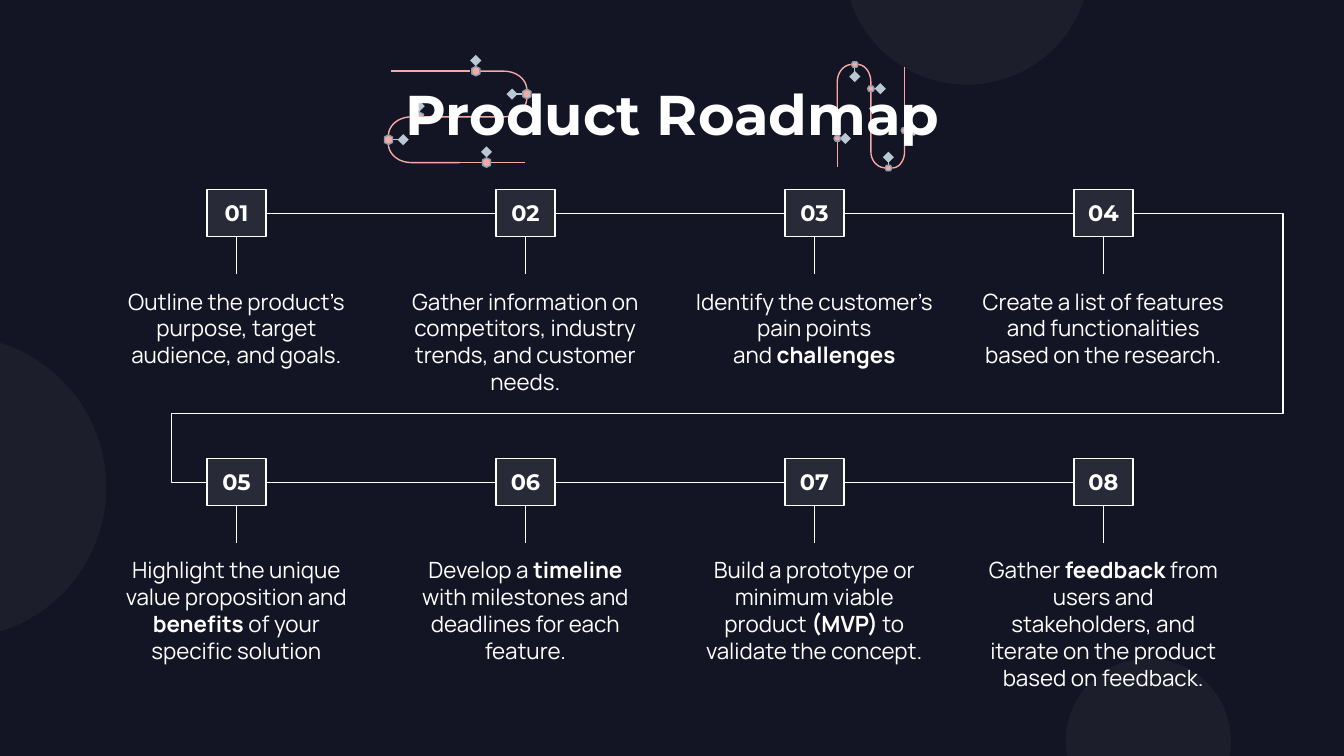
"""Build the Product Roadmap slide: eight numbered steps on one winding line."""
from math import cos, pi, sin

from lxml.etree import SubElement
from pptx import Presentation
from pptx.dml.color import RGBColor
from pptx.enum.shapes import MSO_CONNECTOR, MSO_SHAPE
from pptx.enum.text import MSO_ANCHOR, MSO_AUTO_SIZE, PP_ALIGN
from pptx.oxml.ns import qn
from pptx.util import Inches, Pt

THEME = {
    "night": RGBColor(0x13, 0x15, 0x24),
    "white": RGBColor(0xFF, 0xFF, 0xFF),
    "track": RGBColor(0xF8, 0xA9, 0xA3),
    "node": RGBColor(0x86, 0x9F, 0xB2),
    "pin": RGBColor(0xBA, 0xC8, 0xD3),
    "stroke": Pt(0.75),
    "heading": {"name": "Montserrat", "size": Pt(30), "bold": True},
    "number": {"name": "Montserrat", "size": Pt(12), "bold": True},
    "body": {"name": "Manrope", "size": Pt(12), "bold": False},
    "strong": {"name": "Manrope", "size": Pt(12), "bold": True},
}
FRAME = {"margin_left": Inches(0.1), "margin_right": Inches(0.1),
         "margin_top": Inches(0.1), "margin_bottom": Inches(0.1),
         "auto_size": MSO_AUTO_SIZE.NONE}

STEPS = [
    [["Outline the product's purpose, target audience, and goals."]],
    [["Gather information on competitors, industry trends, and customer needs."]],
    [["Identify the customer's pain points"], ["and ", "challenges"]],
    [["Create a list of features and functionalities based on the research."]],
    [["Highlight the unique value proposition and ", "benefits",
      " of your specific solution"]],
    [["Develop a ", "timeline", " with milestones and deadlines for each feature."]],
    [["Build a prototype or minimum viable product ", "(MVP)",
      " to validate the concept."]],
    [["Gather ", "feedback",
      " from users and stakeholders, and iterate on the product based on feedback."]],
]
COLUMNS, FIRST_CENTER, COLUMN_STEP = 4, 1.76, 2.15
FIRST_ROW, ROW_STEP = 1.41, 2
BADGE_W, BADGE_H, TEXT_W, STEM = 0.44, 0.35, 2, 0.28

STRETCHES = [
    [(6.23, 0.81), (6.23, 1.01)],
    [(6.23, 0.88), (6.23, 0.61), (6.23, 0.48), (6.34, 0.48)],
    [(6.48, 0.64), (6.48, 0.61), (6.48, 0.48), (6.38, 0.48)],
    [(6.48, 0.68), (6.48, 1.13), (6.48, 1.25), (6.59, 1.25)],
    [(6.73, 0.99), (6.73, 1.13), (6.73, 1.25), (6.64, 1.25)],
    [(6.73, 0.5), (6.73, 0.94)],
    [(6.23, 1.05), (6.23, 1.24)],
    [(3.33, 1.21), (3.59, 1.21)],
    [(3.42, 1.21), (3.06, 1.21), (2.89, 1.21), (2.89, 1.07)],
    [(3.1, 0.87), (3.06, 0.87), (2.89, 0.87), (2.89, 1.01)],
    [(3.15, 0.87), (3.75, 0.87), (3.92, 0.87), (3.92, 0.73)],
    [(3.57, 0.53), (3.75, 0.53), (3.92, 0.53), (3.92, 0.67)],
    [(2.91, 0.53), (3.5, 0.53)],
    [(3.65, 1.21), (3.91, 1.21)],
]
NODE_GROUPS = [
    (0.05, 0.04, 180, [
        ((6.73, 0.97), (6.8, 0.97)), ((6.61, 1.25), (6.61, 1.17)),
        ((6.36, 0.48), (6.36, 0.57)), ((6.48, 0.66), (6.55, 0.66)),
        ((6.23, 1.03), (6.29, 1.03))]),
    (0.07, 0.06, 90, [
        ((3.54, 0.53), (3.54, 0.45)), ((3.92, 0.7), (3.81, 0.7)),
        ((2.89, 1.04), (3, 1.04)), ((3.12, 0.87), (3.12, 0.79)),
        ((3.62, 1.21), (3.62, 1.13))]),
]

deck = Presentation()
deck.slide_width, deck.slide_height = Inches(10), Inches(10 * 9 / 16)
slide = deck.slides.add_slide(deck.slide_layouts[5])
slide.background.fill.solid()
slide.background.fill.fore_color.rgb = THEME["night"]
shapes = slide.shapes


def link(start, end, color, kind=MSO_CONNECTOR.STRAIGHT):
    connector = shapes.add_connector(kind, *(Inches(v) for v in (*start, *end)))
    connector.line.color.rgb = THEME[color]
    connector.line.width = THEME["stroke"]
    SubElement(connector.element.spPr, qn("a:effectLst"))
    return connector


def write(holder, paragraphs, styles, anchor=MSO_ANCHOR.TOP, wrap=True):
    frame = holder.text_frame
    for key, value in {**FRAME, "vertical_anchor": anchor, "word_wrap": wrap}.items():
        setattr(frame, key, value)
    for index, pieces in enumerate(paragraphs):
        paragraph = frame.add_paragraph() if index else frame.paragraphs[0]
        paragraph.alignment = PP_ALIGN.CENTER
        for position, words in enumerate(pieces):
            run = paragraph.add_run()
            run.text = words
            for key, value in THEME[styles[position % len(styles)]].items():
                setattr(run.font, key, value)
            run.font.color.rgb = THEME["white"]


for far, near, *bend in STRETCHES:
    points = [near]
    if bend:
        corner, tip = bend
        center = [a + b - c for a, b, c in zip(near, tip, corner)]
        points += [[m + (a - m) * cos(k * pi / 24) + (b - m) * sin(k * pi / 24)
                    for m, a, b in zip(center, near, tip)] for k in range(1, 13)]
    builder = shapes.build_freeform(*(Inches(v) for v in far))
    builder.add_line_segments([[Inches(v) for v in point] for point in points], close=False)
    stretch = builder.convert_to_shape()
    stretch.shadow.inherit = False
    stretch.fill.background()
    stretch.line.color.rgb = THEME["track"]
    stretch.line.width = THEME["stroke"]

for width, height, turn, nodes in NODE_GROUPS:
    for (x, y), outer in nodes:
        pin = link(outer, (x, y), "pin")
        SubElement(pin.line._get_or_add_ln(), qn("a:headEnd"), type="diamond")
        node = shapes.add_shape(MSO_SHAPE.HEXAGON, Inches(x - width / 2),
                                Inches(y - height / 2), Inches(width), Inches(height))
        node.rotation = turn
        node.shadow.inherit = False
        node.fill.solid()
        node.fill.fore_color.rgb = THEME["track"]
        node.line.color.rgb = THEME["node"]
        node.line.width = THEME["stroke"]

heading = shapes.title
heading.left, heading.top, heading.width, heading.height = (
    Inches(v) for v in (0.79, 0.49, 8.43, 0.63))
write(heading, [["Product Roadmap"]], ["heading"])
heading.element.getparent().append(heading.element)

veils = []
for index, paragraphs in enumerate(STEPS):
    row, column = divmod(index, COLUMNS)
    center = FIRST_CENTER + column * COLUMN_STEP
    top = FIRST_ROW + row * ROW_STEP
    middle, bottom = top + 0.18, top + BADGE_H
    description = shapes.add_textbox(Inches(center - TEXT_W / 2), Inches(bottom + STEM),
                                     Inches(TEXT_W), Inches(0.95 if row else 0.78))
    write(description, paragraphs, ["body", "strong"])
    link((center, bottom), (center, bottom + STEM), "white")
    if column < COLUMNS - 1:
        link((center + BADGE_W / 2, middle),
             (center + COLUMN_STEP - BADGE_W / 2, middle), "white")
    badge = shapes.add_shape(MSO_SHAPE.RECTANGLE, Inches(center - BADGE_W / 2),
                             Inches(top), Inches(BADGE_W), Inches(BADGE_H))
    badge.line.color.rgb = THEME["white"]
    badge.line.width = THEME["stroke"]
    write(badge, [[f"{index + 1:02}"]], ["number"], MSO_ANCHOR.MIDDLE, False)
    veils.append((badge, 9))

turnback = link((1.54, 3.59), (8.43, 1.59), "white", MSO_CONNECTOR.ELBOW)
geometry = turnback.element.spPr.find(qn("a:prstGeom"))
geometry.set("prst", "bentConnector5")
guides = geometry.find(qn("a:avLst"))
for number, amount in enumerate((-3800, 25600, 116200), 1):
    SubElement(guides, qn("a:gd"), name=f"adj{number}", fmla=f"val {amount}")

for left, top, size in ((6.28, -1.2, 1.83), (-1.46, 2.5, 2.25), (7.93, 4.9, 1.23)):
    circle = shapes.add_shape(MSO_SHAPE.OVAL, Inches(left), Inches(top),
                              Inches(size), Inches(size))
    circle.line.fill.background()
    veils.append((circle, 4))

for veil, percent in veils:
    veil.shadow.inherit = False
    veil.fill.solid()
    veil.fill.fore_color.rgb = THEME["white"]
    tint = veil.element.spPr.find(qn("a:solidFill")).find(qn("a:srgbClr"))
    SubElement(tint, qn("a:alpha"), val=str(percent * 1000))

deck.save("out.pptx")
